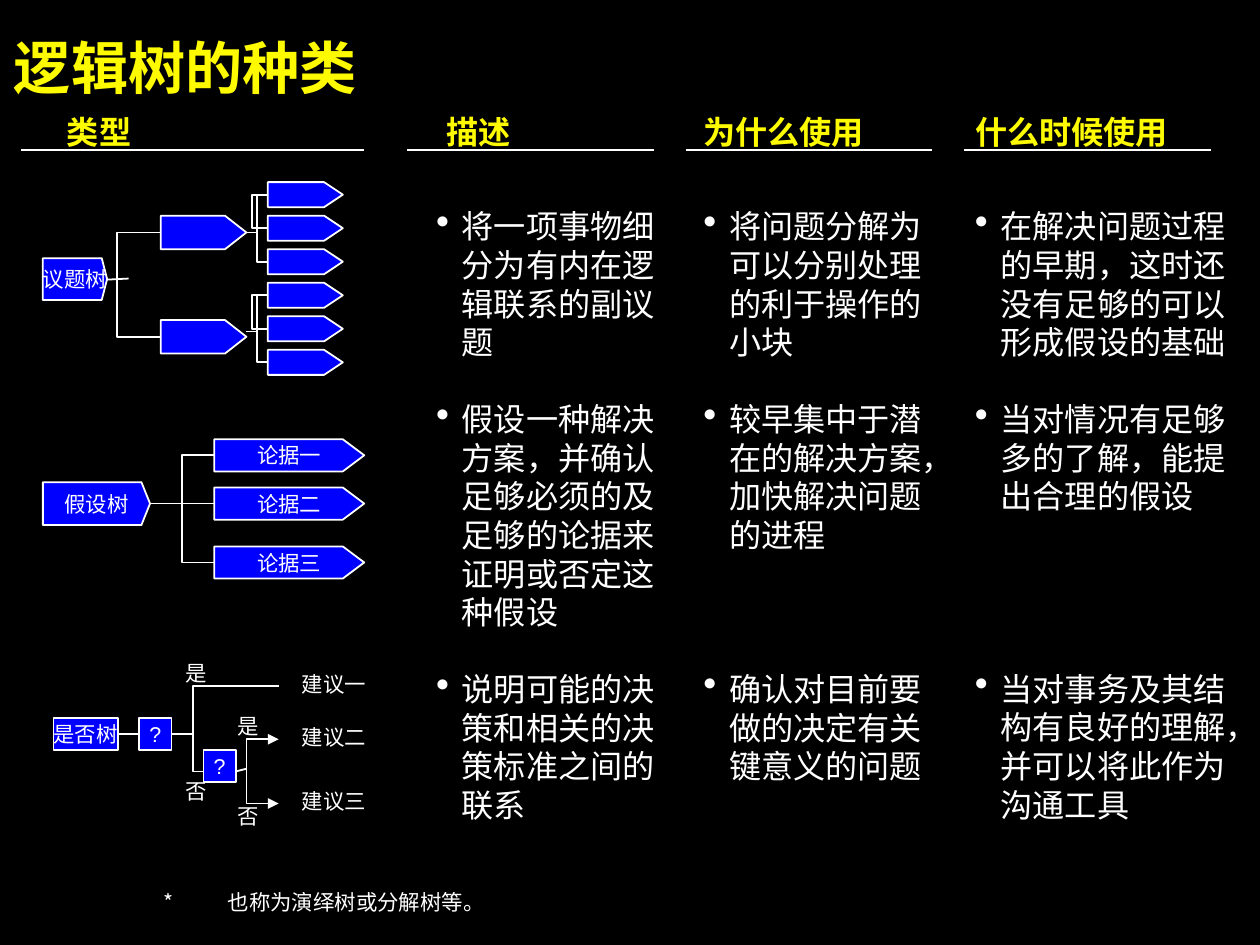
from lxml import etree
from pptx import Presentation
from pptx import util as u
from pptx.dml.color import RGBColor
from pptx.enum import shapes, text
from pptx.oxml.ns import qn

BLACK = RGBColor(0, 0, 0)
WHITE = RGBColor(255, 255, 255)
YELLOW = RGBColor(0xFE, 0xFB, 0)
BLUE = RGBColor(0, 0, 0xFE)
LATIN, CHINESE = "Arial", "Noto Sans CJK SC"
CELL = u.Inches(1) / 12  # the grid has twelve cells to the inch
LINE_POINTS = 21.56      # height of one line of 18 point text

# Content; all positions are in grid cells
TITLE = "逻辑树的种类"
HEADINGS = [  # text, text left, rule from, rule to
    ("类型", 6.25, 2, 34), ("描述", 41.65, 38, 61),
    ("为什么使用", 65.65, 64, 87), ("什么时候使用", 91, 90, 113)]
COLUMNS = [  # left, width, (blank lines above, bullet text)
    (40.7, 21.4, [(0, "将一项事物细分为有内在逻辑联系的副议题"),
                  (1, "假设一种解决方案，并确认足够必须的及足够的论据来证明或否定这种假设"),
                  (1, "说明可能的决策和相关的决策标准之间的联系")]),
    (65.65, 21.4, [(0, "将问题分解为可以分别处理的利于操作的小块"),
                   (1, "较早集中于潜在的解决方案，加快解决问题的进程"),
                   (3, "确认对目前要做的决定有关键意义的问题")]),
    (91, 24, [(0, "在解决问题过程的早期，这时还没有足够的可以形成假设的基础"),
              (1, "当对情况有足够多的了解，能提出合理的假设"),
              (4, "当对事务及其结构有良好的理解，并可以将此作为沟通工具")])]
ARGUMENTS = [("论据一", 41), ("论据二", 45.5), ("论据三", 51)]
DECISIONS = [("是否树", 5, 67, 6), ("?", 13, 67, 3), ("?", 19, 70, 3)]
ANSWERS = [("是", 16.1, 61), ("否", 16.1, 72), ("是", 21, 66), ("否", 21, 74.4)]
ADVICE = [("建议一", 62), ("建议二", 67), ("建议三", 73)]
FOOTNOTE = "也称为演绎树或分解树等。"
FOOTNOTE_TABS = [(0, "l"), (0.87, "r")] + [(0.89 * n, "l") for n in range(2, 8)]

presentation = Presentation()
presentation.slide_width, presentation.slide_height = u.Inches(9.8), u.Inches(7.35)
slide = presentation.slides.add_slide(presentation.slide_layouts[6])
slide.background.fill.solid()
slide.background.fill.fore_color.rgb = BLACK


def grid(*cells):
    return [round(cell * CELL) for cell in cells]


def format_run(run, size, color=WHITE, bold=False, name=LATIN):
    run.font.size, run.font.name, run.font.bold = u.Pt(size), name, bold
    run.font.color.rgb = color


def write(shape, words, size=12, color=WHITE, bold=False, center=False,
          wrap=False, margins=(1.2, 0.6), anchor=text.MSO_ANCHOR.MIDDLE):
    frame = shape.text_frame
    frame.text = words
    frame.word_wrap, frame.vertical_anchor = wrap, anchor
    frame.margin_left = frame.margin_right = grid(margins[0])[0]
    frame.margin_top = frame.margin_bottom = grid(margins[1])[0]
    for paragraph in frame.paragraphs:
        paragraph.alignment = text.PP_ALIGN.CENTER if center else text.PP_ALIGN.LEFT
        for run in paragraph.runs:
            format_run(run, size, color, bold)
    return frame


def plain_text(words, left, top, width, height, size, color=WHITE, bold=False):
    box = slide.shapes.add_textbox(*grid(left, top, width, height))
    return write(box, words, size, color, bold, wrap=True, margins=(0, 0),
                 anchor=text.MSO_ANCHOR.TOP)


def style(shape, filled=True):
    shape.shadow.inherit = False
    if filled:
        shape.fill.solid()
        shape.fill.fore_color.rgb = BLUE
    else:
        shape.fill.background()
    shape.line.color.rgb, shape.line.width = WHITE, u.Pt(1)


def outline(points, closed=False):
    points = [grid(*point) for point in points]
    builder = slide.shapes.build_freeform(*points[0])
    builder.add_line_segments(points[1:], close=closed)
    shape = builder.convert_to_shape()
    style(shape, filled=closed)
    return shape


def tag(left, top, width, height, tip, words=""):
    right, bottom = left + width, top + height
    shape = outline([(left, top), (right - tip, top), (right, top + height / 2),
                     (right - tip, bottom), (left, bottom)], closed=True)
    if words:
        write(shape, words, center=True)


def connect(x1, y1, x2, y2, kind=shapes.MSO_CONNECTOR.STRAIGHT):
    connector = slide.shapes.add_connector(kind, *grid(x1, y1, x2, y2))
    connector.line.color.rgb, connector.line.width = WHITE, u.Pt(1)
    etree.SubElement(connector._element.spPr, qn("a:effectLst"))


def bracket(x, spine, top, bottom):
    return outline([(x, top), (spine, top), (spine, bottom), (x, bottom)])


def add_property(paragraph, name, **attributes):
    return etree.SubElement(paragraph._p.get_or_add_pPr(), qn(name), attributes)


def set_indent(paragraph, inches):
    properties = paragraph._p.get_or_add_pPr()
    properties.set("marL", str(u.Inches(inches)))
    properties.set("indent", str(-u.Inches(inches)))


# Title, headings and their rules
plain_text(TITLE, 1.3, 3, 114, 6.4, 32, YELLOW, True)
for words, left, start, end in HEADINGS:
    plain_text(words, left, 10.45, 22, 3.6, 18, YELLOW, True)
    connect(start, 14, end, 14)

# Bulleted columns
for left, width, bullets in COLUMNS:
    frame = plain_text("\n".join(words for _, words in bullets),
                       left, 19.3, width, 58.5, 18)
    for paragraph, (blank_lines, _) in zip(frame.paragraphs, bullets):
        set_indent(paragraph, 0.2)
        color = add_property(paragraph, "a:buClr")
        etree.SubElement(color, qn("a:srgbClr"), val=str(WHITE))
        add_property(paragraph, "a:buSzPct", val="120000")
        add_property(paragraph, "a:buChar", char="•")
        if blank_lines:
            paragraph.space_before = u.Pt(blank_lines * LINE_POINTS)

# Issue tree: root, two branches, three leaves on each
LEAF_TOP, LEAF_STEP, LEAF_HEIGHT = 17, 3.13, 2.34
tag(4, 24.1, 6, 3.9, 0.5, "议题树")
connect(10, 26.1, 12, 26)
bracket(15, 10.9, 21.7, 31.43)
for branch, (branch_top, joint) in enumerate([(20.13, 21.7), (29.87, 30.95)]):
    tag(15, branch_top, 8, 3.13, 2)
    tops = [LEAF_TOP + LEAF_STEP * (3 * branch + leaf) for leaf in range(3)]
    first, second, third = [top + LEAF_HEIGHT / 2 for top in tops]
    for top in tops:
        tag(25, top, 7, LEAF_HEIGHT, 1.75)
    for center in (first, third):
        connect(23, joint, 25, center, shapes.MSO_CONNECTOR.ELBOW)
    bracket(25, 23.5, first, second)

# Hypothesis tree
tag(4, 45, 10, 4, 0.8, "假设树")
for words, top in ARGUMENTS:
    tag(20, top, 14, 3, 2, words)
    center = top + 1.5
    level = center == 47
    connect(14, 47, 20, center,
            shapes.MSO_CONNECTOR.STRAIGHT if level else shapes.MSO_CONNECTOR.ELBOW)

# Yes-no tree
connect(11, 68.5, 13, 68.5)
connect(16, 68.5, 18, 68.5)
outline([(26, 64), (18, 64), (18, 72), (22, 72)])
for words, left, top, width in DECISIONS:
    box = slide.shapes.add_shape(shapes.MSO_SHAPE.RECTANGLE, *grid(left, top, width, 3))
    style(box)
    write(box, words, center=True)
arrows = bracket(26, 23, 69, 75)
for end in ("a:headEnd", "a:tailEnd"):
    etree.SubElement(arrows.line._get_or_add_ln(), qn(end), type="triangle")
connect(22, 72, 23, 71.75)
for words, left, top in ANSWERS:
    write(slide.shapes.add_textbox(*grid(left, top, 4.3, 3.6)), words, center=True)
for words, top in ADVICE:
    write(slide.shapes.add_textbox(*grid(27, top, 9, 3.6)), words, wrap=True)

# Footnote
footnote = plain_text("", 1.7, 82.3, 113, 3.6, 12).paragraphs[0]
set_indent(footnote, 1.13)
tab_list = add_property(footnote, "a:tabLst")
for position, side in FOOTNOTE_TABS:
    etree.SubElement(tab_list, qn("a:tab"), pos=str(u.Inches(position)), algn=side)
for words, size, name in [("\t", 16, LATIN), ("*\t" + FOOTNOTE, 12, CHINESE)]:
    run = footnote.add_run()
    run.text = words
    format_run(run, size, name=name)

presentation.save("out.pptx")
